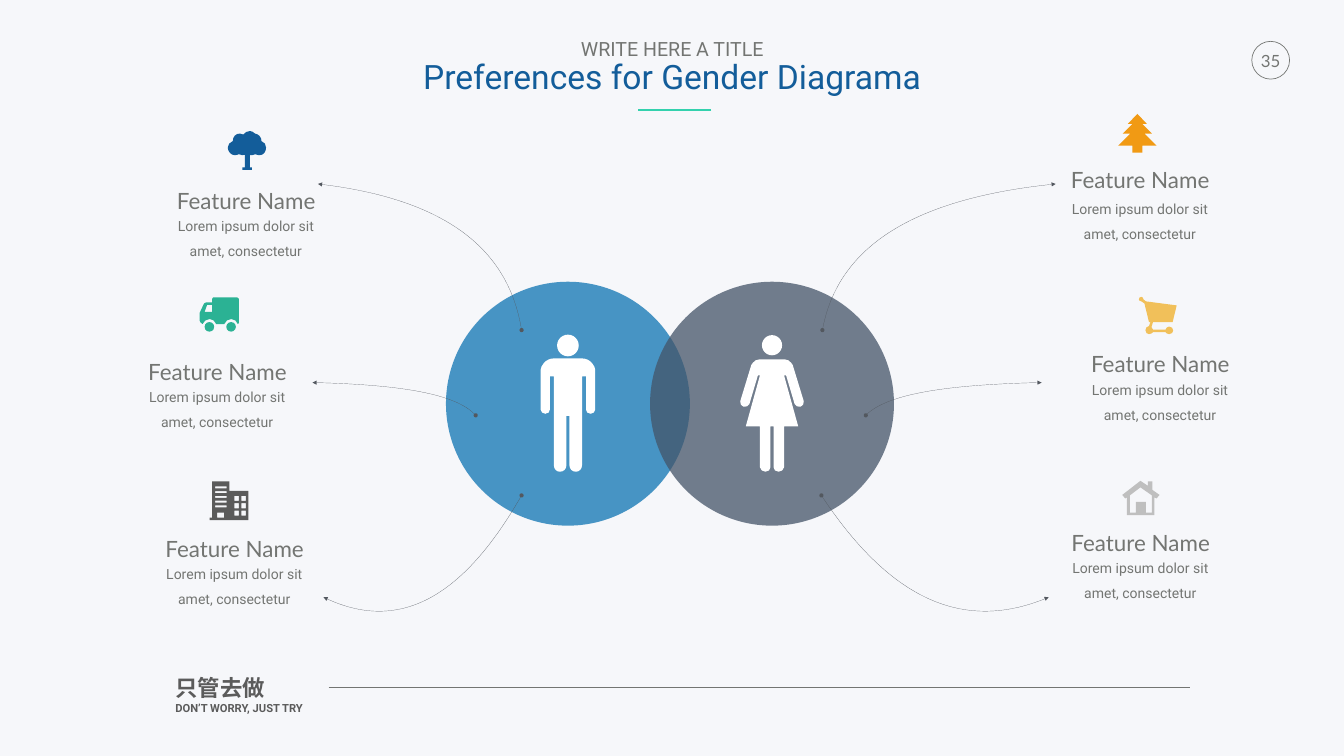
from lxml import etree
from pptx import Presentation
from pptx.dml.color import RGBColor
from pptx.enum import shapes, text
from pptx.oxml import ns
from pptx.util import Inches, Pt

COLORS = {
    "back": "F6F7FA", "grey": "737572", "dark": "5B5B5B", "white": "FFFFFF",
    "blue": "0D73B2", "slate": "445468", "navy": "135D9A", "mint": "33D1AD",
    "arc": "53585F", "green": "2BB294", "orange": "F19A14",
    "silver": "BFBFBF", "yellow": "F1C05A",
}
# name left, name top, gap from name to description
FEATURES = [
    (3.36, 3.62, 0.43), (2.79, 7.01, 0.43), (3.13, 10.52, 0.43),
    (21.1, 3.19, 0.52), (21.5, 6.85, 0.45), (21.11, 10.4, 0.43),
]
# Outlines: a start point, then lines (x, y) or curves (x1, y1, x2, y2, x, y)
ARCS = [
    [(10.35, 6.55), (10.09, 4.9, 8.74, 3.93, 6.31, 3.65)],
    [(10.35, 9.83), (9.18, 11.88, 7.87, 12.56, 6.42, 11.85)],
    [(9.44, 8.24), (9.08, 7.84, 8, 7.63, 6.2, 7.59)],
    [(16.32, 6.55), (16.62, 4.9, 18.16, 3.93, 20.95, 3.65)],
    [(16.3, 9.83), (17.65, 11.88, 19.15, 12.56, 20.81, 11.85)],
    [(17.18, 8.24), (17.57, 7.84, 18.73, 7.63, 20.67, 7.59)],
]
MAN_HALF = [
    (11, 7.11), (10.81, 7.11, 10.73, 7.28, 10.73, 7.33), (10.73, 8.13),
    (10.73, 8.17, 10.77, 8.21, 10.82, 8.21), (10.88, 8.21, 10.91, 8.17, 10.91, 8.13),
    (10.91, 7.47), (10.99, 7.47), (10.99, 9.23),
    (10.99, 9.31, 11.05, 9.36, 11.11, 9.36), (11.18, 9.36, 11.24, 9.31, 11.24, 9.23),
    (11.24, 8.25),
]
WOMAN_HALF = [
    (15.07, 7.13), (15.01, 7.13, 14.97, 7.16, 14.94, 7.2), (14.91, 7.24), (14.69, 7.96),
    (14.68, 8, 14.71, 8.06, 14.75, 8.07), (14.8, 8.08, 14.86, 8.06, 14.87, 8.02),
    (15.04, 7.45), (15.08, 7.45), (14.8, 8.46), (15.08, 8.46), (15.08, 9.27),
    (15.08, 9.32, 15.14, 9.36, 15.19, 9.36), (15.25, 9.36, 15.29, 9.32, 15.29, 9.27),
    (15.29, 8.46),
]
PINE_HALF = [(22.57, 2.26), (22.38, 2.46), (22.47, 2.46), (22.28, 2.65),
             (22.43, 2.65), (22.19, 2.89), (22.47, 2.89), (22.47, 3.03)]
TREE = [
    (5.19, 2.8), (5.19, 2.72, 5.13, 2.66, 5.06, 2.65), (5.03, 2.62, 4.99, 2.6, 4.96, 2.6),
    (4.9, 2.6, 4.86, 2.63, 4.83, 2.67), (4.81, 2.66, 4.78, 2.65, 4.76, 2.65),
    (4.68, 2.65, 4.62, 2.71, 4.62, 2.8), (4.56, 2.82, 4.52, 2.87, 4.52, 2.93),
    (4.52, 3.01, 4.59, 3.08, 4.66, 3.08), (4.69, 3.08, 4.72, 3.07, 4.74, 3.06),
    (4.76, 3.07, 4.78, 3.08, 4.81, 3.08), (4.82, 3.08, 4.84, 3.08, 4.86, 3.07),
    (4.86, 3.32), (4.81, 3.32), (4.81, 3.37), (5, 3.37), (5, 3.32), (4.96, 3.32),
    (4.96, 3.08), (5, 3.08), (5.03, 3.08, 5.05, 3.07, 5.07, 3.06),
    (5.09, 3.07, 5.12, 3.08, 5.15, 3.08), (5.23, 3.08, 5.28, 3.01, 5.28, 2.93),
    (5.28, 2.87, 5.25, 2.82, 5.19, 2.8),
]
TRUCK = [
    (4.71, 5.9), (4.23, 5.9), (4.21, 5.9, 4.21, 5.92, 4.21, 5.93), (4.21, 6), (4.09, 6),
    (4.08, 6, 4.06, 6.01, 4.05, 6.02), (3.98, 6.17), (3.97, 6.18, 3.96, 6.2, 3.96, 6.21),
    (3.96, 6.36), (3.96, 6.37, 3.98, 6.39, 3.98, 6.4), (4.02, 6.43),
    (4.04, 6.37, 4.1, 6.33, 4.16, 6.33), (4.22, 6.33, 4.27, 6.37, 4.29, 6.43),
    (4.45, 6.43), (4.47, 6.37, 4.53, 6.33, 4.59, 6.33),
    (4.65, 6.33, 4.7, 6.37, 4.72, 6.43), (4.74, 6.41), (4.74, 5.93),
    (4.74, 5.92, 4.72, 5.9, 4.71, 5.9),
]
TRUCK_WINDOW = [(4.21, 6.19), (4.06, 6.19), (4.11, 6.05), (4.21, 6.05)]
BLOCK = [(4.55, 9.74), (4.55, 9.55), (4.21, 9.55), (4.21, 10.27), (4.16, 10.27),
         (4.16, 10.32), (4.93, 10.32), (4.93, 9.74)]
HOUSE = [(22.87, 9.72), (22.87, 9.55), (22.78, 9.55), (22.78, 9.64), (22.63, 9.54),
         (22.27, 9.82), (22.33, 9.89), (22.36, 9.87), (22.36, 10.22), (22.91, 10.22),
         (22.91, 9.87), (22.95, 9.89), (23.01, 9.82)]
HOUSE_INSIDE = [(22.86, 10.17), (22.74, 10.17), (22.74, 9.96), (22.54, 9.96),
                (22.54, 10.17), (22.42, 10.17), (22.42, 9.83), (22.63, 9.67), (22.86, 9.83)]
CART = [
    (23.2, 6.48), (23.17, 6.48, 23.13, 6.51, 23.13, 6.54), (22.88, 6.54),
    (22.88, 6.52, 22.87, 6.5, 22.85, 6.49), (22.88, 6.39), (23.27, 6.39), (23.35, 6.06),
    (22.74, 5.98), (22.69, 5.94), (22.69, 5.91, 22.67, 5.89, 22.65, 5.89),
    (22.62, 5.89, 22.6, 5.91, 22.6, 5.94), (22.6, 5.96, 22.62, 5.98, 22.65, 5.98),
    (22.71, 6.02), (22.8, 6.39), (22.83, 6.39), (22.8, 6.47),
    (22.76, 6.47, 22.73, 6.51, 22.73, 6.55), (22.73, 6.6, 22.76, 6.63, 22.8, 6.63),
    (22.84, 6.63, 22.86, 6.61, 22.88, 6.59), (23.13, 6.59),
    (23.14, 6.61, 23.17, 6.63, 23.2, 6.63), (23.25, 6.63, 23.28, 6.6, 23.28, 6.56),
    (23.28, 6.51, 23.25, 6.48, 23.2, 6.48),
]


def rgb(name):
    return RGBColor.from_string(COLORS[name])


def pairs(seg):
    return list(zip(seg[::2], seg[1::2]))


def mirrored(half, axis):
    """Complete a left half outline with its reflection about x = axis."""
    whole = half + [(2 * axis - half[-1][-2], half[-1][-1])]
    for before, seg in reversed(list(zip(half, half[1:]))):
        back = pairs(seg)[-2::-1] + [before[-2:]]
        whole.append(tuple(v for x, y in back for v in (2 * axis - x, y)))
    return whole


def rect(x, y, w, h):
    return [(x, y), (x + w, y), (x + w, y + h), (x, y + h)]


def samples(start, seg):
    """Points along one segment, so that the frame fits the curve."""
    if len(seg) == 2:
        return [seg]
    a, b, c, d = [start] + pairs(seg)
    return [tuple((1 - t) ** 3 * a[i] + 3 * t * (1 - t) ** 2 * b[i]
                  + 3 * t * t * (1 - t) * c[i] + t ** 3 * d[i] for i in (0, 1))
            for t in (n / 16 for n in range(1, 17))]


def paint(sp, fill=None, line=None, width=1):
    sp.shadow.inherit = False
    for part, color in ((sp.fill, fill), (sp.line.fill, line)):
        if color:
            part.solid()
            part.fore_color.rgb = rgb(color)
        else:
            part.background()
    if line:
        sp.line.width = Pt(width)


def add_outline(s, *contours, closed=True, **colors):
    """Freeform with true curves; further contours are holes."""
    builder = None
    for contour in contours:
        start = [Inches(v) for v in contour[0]]
        if builder is None:
            builder = s.shapes.build_freeform(*start)
        else:
            builder.move_to(*start)
        points = [p for before, seg in zip(contour, contour[1:])
                  for p in samples(before[-2:], seg)]
        builder.add_line_segments([(Inches(x), Inches(y)) for x, y in points], closed)
    sp = builder.convert_to_shape()
    geometry = sp._element.find(".//" + ns.qn("a:path"))
    for step in list(geometry):
        geometry.remove(step)
    for contour in contours:
        for i, seg in enumerate(contour):
            tag = "a:moveTo" if i == 0 else "a:lnTo" if len(seg) == 2 else "a:cubicBezTo"
            step = etree.SubElement(geometry, ns.qn(tag))
            for x, y in pairs(seg):
                etree.SubElement(step, ns.qn("a:pt"), x=str(Inches(x) - sp.left),
                                 y=str(Inches(y) - sp.top))
        if closed:
            etree.SubElement(geometry, ns.qn("a:close"))
    paint(sp, **colors)
    return sp


def add_arc(s, contour):
    sp = add_outline(s, contour, closed=False, line="arc", width=0.25)
    ln = sp.line._get_or_add_ln()
    for tag, kind in (("a:headEnd", "oval"), ("a:tailEnd", "triangle")):
        etree.SubElement(ln, ns.qn(tag), type=kind)


def add_circle(s, x, y, size, alpha=None, **colors):
    sp = s.shapes.add_shape(shapes.MSO_SHAPE.OVAL, *map(Inches, (x, y, size, size)))
    paint(sp, **colors)
    if alpha:
        color = sp._element.spPr.find(".//" + ns.qn("a:srgbClr"))
        etree.SubElement(color, ns.qn("a:alpha"), val=str(alpha * 1000))


def add_line(s, x1, x2, y, color, width):
    c = s.shapes.add_connector(shapes.MSO_CONNECTOR.STRAIGHT, *map(Inches, (x1, y, x2, y)))
    c.line.color.rgb = rgb(color)
    c.line.width = Pt(width)
    etree.SubElement(c._element.spPr, ns.qn("a:effectLst"))


def add_text(s, box, lines, inset=0.1, wrap=False, align="CENTER", spacing=None):
    """Each line is (text, size, font, color, bold)."""
    tf = s.shapes.add_textbox(*map(Inches, box)).text_frame
    frame = {"word_wrap": wrap, "auto_size": text.MSO_AUTO_SIZE.SHAPE_TO_FIT_TEXT}
    for side in ("left", "top", "right", "bottom"):
        frame["margin_" + side] = Inches(inset)
    for name, value in frame.items():
        setattr(tf, name, value)
    for i, (words, size, font, color, bold) in enumerate(lines):
        p = tf.add_paragraph() if i else tf.paragraphs[0]
        p.alignment = getattr(text.PP_ALIGN, align)
        p.line_spacing = spacing
        r = p.add_run()
        r.text = words
        for name, value in {"size": Pt(size), "name": font, "bold": bold}.items():
            setattr(r.font, name, value)
        r.font.color.rgb = rgb(color)


def add_feature(s, x, y, gap):
    add_text(s, (x - 0.15, y + gap, 3.34, 1.03),
             [("Lorem ipsum dolor sit amet, consectetur", 20, "Roboto", "grey", False)],
             wrap=True, spacing=1.5)
    add_text(s, (x, y, 3.05, 0.73), [("Feature Name", 32, "Lato", "grey", False)])


def add_icons(s):
    truck = s.shapes.add_group_shape()
    for x in (4.06, 4.49):
        add_circle(truck, x, 6.39, 0.19, fill="green")
    add_outline(truck, TRUCK, TRUCK_WINDOW, fill="green")
    slats = [rect(4.27, 9.65 + 0.095 * i, 0.23, 0.04) for i in range(5)]
    panes = [rect(x, 9.84 + 0.145 * i, 0.09, 0.1) for x in (4.65, 4.79) for i in range(3)]
    add_outline(s, BLOCK, rect(4.31, 10.17, 0.14, 0.1), *slats, *panes, fill="dark")
    add_outline(s, mirrored(PINE_HALF, 22.57), fill="orange")
    add_outline(s, TREE, fill="navy")
    add_outline(s, HOUSE, HOUSE_INSIDE, fill="silver")
    add_outline(s, CART, fill="yellow")


def main():
    prs = Presentation()
    prs.slide_width, prs.slide_height = Inches(26.67), Inches(15)
    s = prs.slides.add_slide(prs.slide_layouts[6])
    s.background.fill.solid()
    s.background.fill.fore_color.rgb = rgb("back")

    add_circle(s, 24.84, 0.82, 0.75, line="grey")
    add_text(s, (3.43, 13.33, 3.99, 0.99),
             [("只管去做", 32, "Roboto", "dark", True),
              ("DON’T WORRY, JUST TRY", 16, "Roboto", "dark", True)],
             inset=0.05, wrap=True, align="LEFT")
    add_line(s, 6.52, 23.62, 13.64, "grey", 0.25)
    add_text(s, (24.84, 0.9, 0.75, 0.6), [("35", 24, "Lato", "grey", False)])

    for x, color in ((8.85, "blue"), (12.9, "slate")):
        add_circle(s, x, 5.59, 4.84, alpha=75, fill=color)
    for half, axis, top, size in ((MAN_HALF, 11.27, 6.64, 0.43),
                                  (WOMAN_HALF, 15.32, 6.65, 0.4)):
        person = s.shapes.add_group_shape()
        add_outline(person, mirrored(half, axis), fill="white")
        add_circle(person, axis - size / 2, top, size, fill="white")
    for arc in ARCS:
        add_arc(s, arc)
    for feature in FEATURES:
        add_feature(s, *feature)

    add_text(s, (8.26, 0.74, 10.16, 1.33),
             [("WRITE HERE A TITLE", 28, "Roboto", "grey", False),
              ("Preferences for Gender Diagrama", 48, "Roboto", "navy", False)],
             inset=0.05, spacing=0.9)
    add_line(s, 14.11, 12.67, 2.18, "mint", 3)
    add_icons(s)
    prs.save("out.pptx")


if __name__ == "__main__":
    main()
